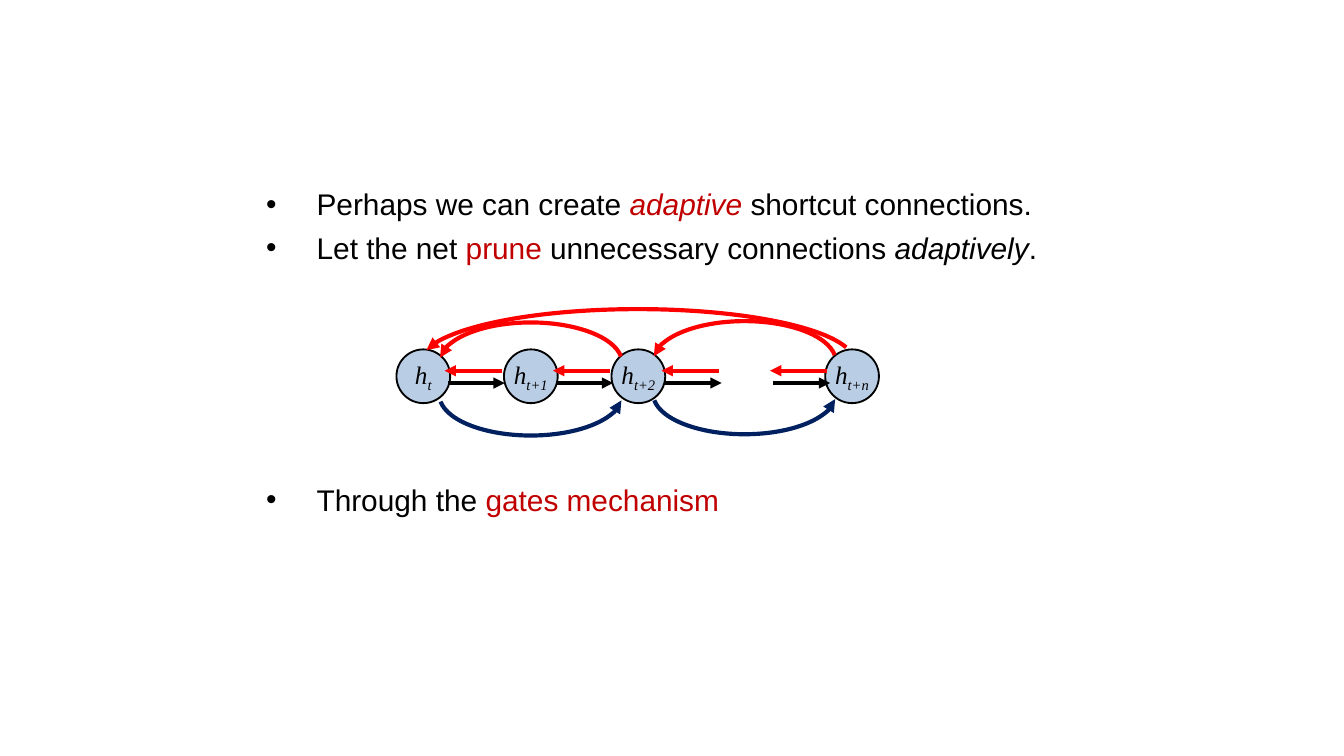
"""Build the slide on adaptive shortcut connections."""
from lxml import etree
from pptx import Presentation
from pptx.dml.color import RGBColor
from pptx.enum.shapes import MSO_CONNECTOR, MSO_SHAPE
from pptx.enum.text import MSO_ANCHOR, MSO_AUTO_SIZE, PP_ALIGN
from pptx.oxml.ns import qn
from pptx.util import Pt

STRAIGHT = MSO_CONNECTOR.STRAIGHT
ELLIPSE, ARC = MSO_SHAPE.OVAL, MSO_SHAPE.ARC
MIDDLE, CENTER = MSO_ANCHOR.MIDDLE, PP_ALIGN.CENTER
NO_AUTOFIT = MSO_AUTO_SIZE.NONE

COLORS = {
    "text": "000000",
    "emphasis": "C00000",
    "node": "B9CDE5",
    "forward": "000000",
    "backward": "FF0000",
    "skip": "002060",
}
BULLETS = [
    (0, [("Perhaps we can create ", "text", False),
         ("adaptive ", "emphasis", True),
         ("shortcut connections.", "text", False)]),
    (4, [("Let the net ", "text", False),
         ("prune", "emphasis", False),
         (" unnecessary connections ", "text", False),
         ("adaptively", "text", True),
         (".", "text", False)]),
    (116, [("Through the ", "text", False),
           ("gates mechanism", "emphasis", False)]),
]
NODES = [(212.4, "t"), (270, "t+1"), (327.6, "t+2"), (442.1, "t+n")]
NODE_TOP, NODE_SIZE = 187.2, 28.8
ARROW_PITCH, ARROW_LENGTH = 58.1, 30.6
FORWARD_LEFT, FORWARD_Y = 239.8, 205.2
BACKWARD_LEFT, BACKWARD_Y = 238.2, 198.6
ARC_START, ARC_END = 109.97, 213.56
ARCS = [
    (235.4, 172.8, 97.9, 43.2, "backward", 0),
    (349.9, 172.1, 97.9, 43.2, "backward", 0),
    (225.4, 165.6, 232.6, 56.9, "backward", 0),
    (235.4, 190.1, 97.9, 43.2, "skip", 180),
    (349.9, 189.4, 97.9, 43.2, "skip", 180),
]


def color(name):
    return RGBColor.from_string(COLORS[name])


def style_line(line, name, width):
    line.color.rgb = color(name)
    line.width = Pt(width)


def add_arrowhead(drawn, end):
    outline = drawn._element.spPr.get_or_add_ln()
    etree.SubElement(outline, qn(f"a:{end}"), type="triangle")


def fill_bullets(body):
    body.left, body.top, body.width, body.height = (
        Pt(135.4), Pt(96), Pt(548.6), Pt(265))
    frame = body.text_frame
    frame.auto_size = NO_AUTOFIT
    frame.vertical_anchor = MSO_ANCHOR.TOP
    for index, (gap, phrases) in enumerate(BULLETS):
        bullet = frame.add_paragraph() if index else frame.paragraphs[0]
        bullet.space_before = Pt(gap)
        bullet.font.size = Pt(16)
        bullet.font.name = "Arial"
        for words, tone, italic in phrases:
            phrase = bullet.add_run()
            phrase.text = words
            phrase.font.color.rgb = color(tone)
            phrase.font.italic = italic


def add_node(slide, left, subscript):
    node = slide.shapes.add_shape(
        ELLIPSE, Pt(left), Pt(NODE_TOP), Pt(NODE_SIZE), Pt(NODE_SIZE))
    node.shadow.inherit = False
    node.fill.solid()
    node.fill.fore_color.rgb = color("node")
    style_line(node.line, "text", 1)
    frame = node.text_frame
    frame.margin_left = frame.margin_right = Pt(0)
    frame.margin_top = frame.margin_bottom = Pt(0)
    frame.vertical_anchor = MIDDLE
    frame.word_wrap = False
    state = frame.paragraphs[0]
    state.alignment = CENTER
    state.font.size = Pt(13.5)
    state.font.name = "Times New Roman"
    state.font.italic = True
    state.font.color.rgb = color("text")
    state.add_run().text = "h"
    index = state.add_run()
    index.text = subscript
    index._r.get_or_add_rPr().set("baseline", "-25000")


def add_arrow(slide, start, end, y, name):
    arrow = slide.shapes.add_connector(
        STRAIGHT, Pt(start), Pt(y), Pt(end), Pt(y))
    style_line(arrow.line, name, 2)
    add_arrowhead(arrow, "tailEnd")
    etree.SubElement(arrow._element.spPr, qn("a:effectLst"))


def add_shortcut(slide, left, top, width, height, name, rotation):
    shortcut = slide.shapes.add_shape(
        ARC, Pt(left), Pt(top), Pt(width), Pt(height))
    shortcut.shadow.inherit = False
    shortcut.adjustments[0] = ARC_START
    shortcut.adjustments[1] = ARC_END
    shortcut.rotation = rotation
    shortcut.fill.background()
    style_line(shortcut.line, name, 2.25)
    add_arrowhead(shortcut, "headEnd")


def main():
    deck = Presentation()
    deck.slide_width, deck.slide_height = Pt(720), Pt(405)
    slide = deck.slides.add_slide(deck.slide_layouts[1])
    title = slide.shapes.title._element
    title.getparent().remove(title)
    fill_bullets(slide.placeholders[1])

    for step, (left, subscript) in enumerate(NODES):
        add_node(slide, left, subscript)
        start = FORWARD_LEFT + step * ARROW_PITCH
        add_arrow(slide, start, start + ARROW_LENGTH, FORWARD_Y, "forward")
    for step in range(len(NODES)):
        end = BACKWARD_LEFT + step * ARROW_PITCH
        add_arrow(slide, end + ARROW_LENGTH, end, BACKWARD_Y, "backward")
    for shortcut in ARCS:
        add_shortcut(slide, *shortcut)

    deck.save("out.pptx")


if __name__ == "__main__":
    main()
